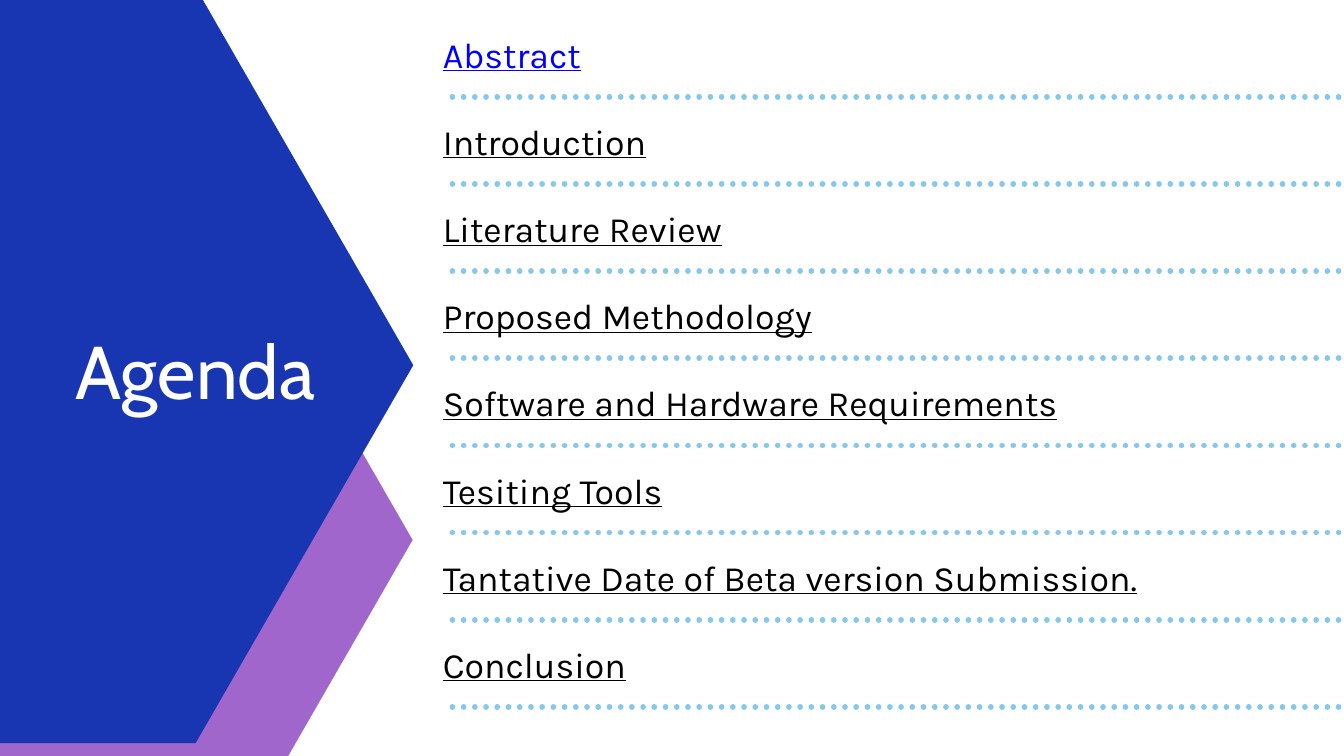
from lxml import etree
from pptx import Presentation
from pptx import util as u
from pptx.dml.color import RGBColor
from pptx.enum import dml, shapes, text
from pptx.oxml import ns

BLUE = RGBColor(0x18, 0x36, 0xB2)
PURPLE = RGBColor(0xA0, 0x66, 0xCB)
SKY = RGBColor(0x86, 0xC7, 0xED)
LINK_BLUE = RGBColor(0x00, 0x00, 0xFF)
BLACK = RGBColor(0x00, 0x00, 0x00)
WHITE = RGBColor(0xFF, 0xFF, 0xFF)

TOPICS = [
    "Abstract",
    "Introduction",
    "Literature Review",
    "Proposed Methodology",
    "Software and Hardware Requirements",
    "Tesiting Tools",
    "Tantative Date of Beta version Submission.",
    "Conclusion",
]
LIST_LEFT, LIST_RIGHT = 6.59, 19.92
FIRST_RULE, LAST_RULE = 1.44, 10.52
TOPIC_RISE = 1.06  # from a dotted rule up to the top of its topic


class AgendaPage:
    heading_font = "Cabin"
    body_font = "Karla"

    def __init__(self, page):
        self.page = page

    def hexagon(self, left, top, width, height, shoulder, colour):
        """Draw a hexagon with points at left and right, each shoulder deep."""
        right, bottom, middle = left + width, top + height, top + height / 2
        corners = [
            (right - shoulder, top),
            (right, middle),
            (right - shoulder, bottom),
            (left + shoulder, bottom),
            (left, middle),
            (left + shoulder, top),
        ]
        points = [(u.Inches(x), u.Inches(y)) for x, y in corners]
        builder = self.page.shapes.build_freeform(*points[0])
        builder.add_line_segments(points[1:], close=True)
        shape = builder.convert_to_shape()
        shape.shadow.inherit = False
        shape.fill.solid()
        shape.fill.fore_color.rgb = colour
        shape.line.fill.background()

    def dotted_rule(self, y):
        rule = self.page.shapes.add_connector(
            shapes.MSO_CONNECTOR.STRAIGHT,
            u.Inches(LIST_RIGHT), u.Inches(y), u.Inches(LIST_LEFT), u.Inches(y),
        )
        rule.line.color.rgb = SKY
        rule.line.width = u.Pt(6)
        rule.line.dash_style = dml.MSO_LINE.ROUND_DOT
        properties = rule.element.spPr
        properties.find(ns.qn("a:ln")).set("cap", "rnd")
        etree.SubElement(properties, ns.qn("a:effectLst"))

    def topic(self, words, top, colour):
        box = self.page.shapes.add_textbox(
            u.Inches(LIST_LEFT), u.Inches(top), u.Inches(12.3), u.Inches(0.72)
        )
        para = self.set_words(box, words, self.body_font, 38.2, 53.5, colour)
        para.font.underline = True

    def title(self, words, left, top, width, height):
        """Place the title in front of everything drawn so far."""
        title = self.page.shapes.title
        title.left, title.top = u.Inches(left), u.Inches(top)
        title.width, title.height = u.Inches(width), u.Inches(height)
        self.set_words(title, words, self.heading_font, 80, 88, WHITE)
        self.page.shapes.element.append(title.element)

    def set_words(self, box, words, font, size, spacing, colour):
        frame = box.text_frame
        frame.margin_left = frame.margin_right = 0
        frame.margin_top = frame.margin_bottom = 0
        frame.word_wrap = True
        frame.auto_size = text.MSO_AUTO_SIZE.SHAPE_TO_FIT_TEXT
        frame.vertical_anchor = text.MSO_ANCHOR.TOP
        para = frame.paragraphs[0]
        para.text = words
        para.alignment = text.PP_ALIGN.LEFT
        para.line_spacing = u.Pt(spacing)
        para.font.name = font
        para.font.size = u.Pt(size)
        para.font.color.rgb = colour
        return para


def main():
    deck = Presentation()
    deck.slide_width, deck.slide_height = u.Inches(20), u.Inches(11.25)
    title_only = deck.slide_layouts.get_by_name("Title Only")
    agenda = AgendaPage(deck.slides.add_slide(title_only))

    pitch = (LAST_RULE - FIRST_RULE) / (len(TOPICS) - 1)
    for index, words in enumerate(TOPICS):
        y = FIRST_RULE + index * pitch
        agenda.dotted_rule(y)
        agenda.topic(words, y - TOPIC_RISE, BLACK if index else LINK_BLUE)

    agenda.hexagon(-4.6, 4.63, 10.74, 6.81, 1.96, PURPLE)
    agenda.hexagon(-6.14, -0.19, 12.29, 11.25, 3.24, BLUE)
    agenda.title("Agenda", 1.12, 4.94, 5.46, 1.25)

    deck.save("out.pptx")


if __name__ == "__main__":
    main()
